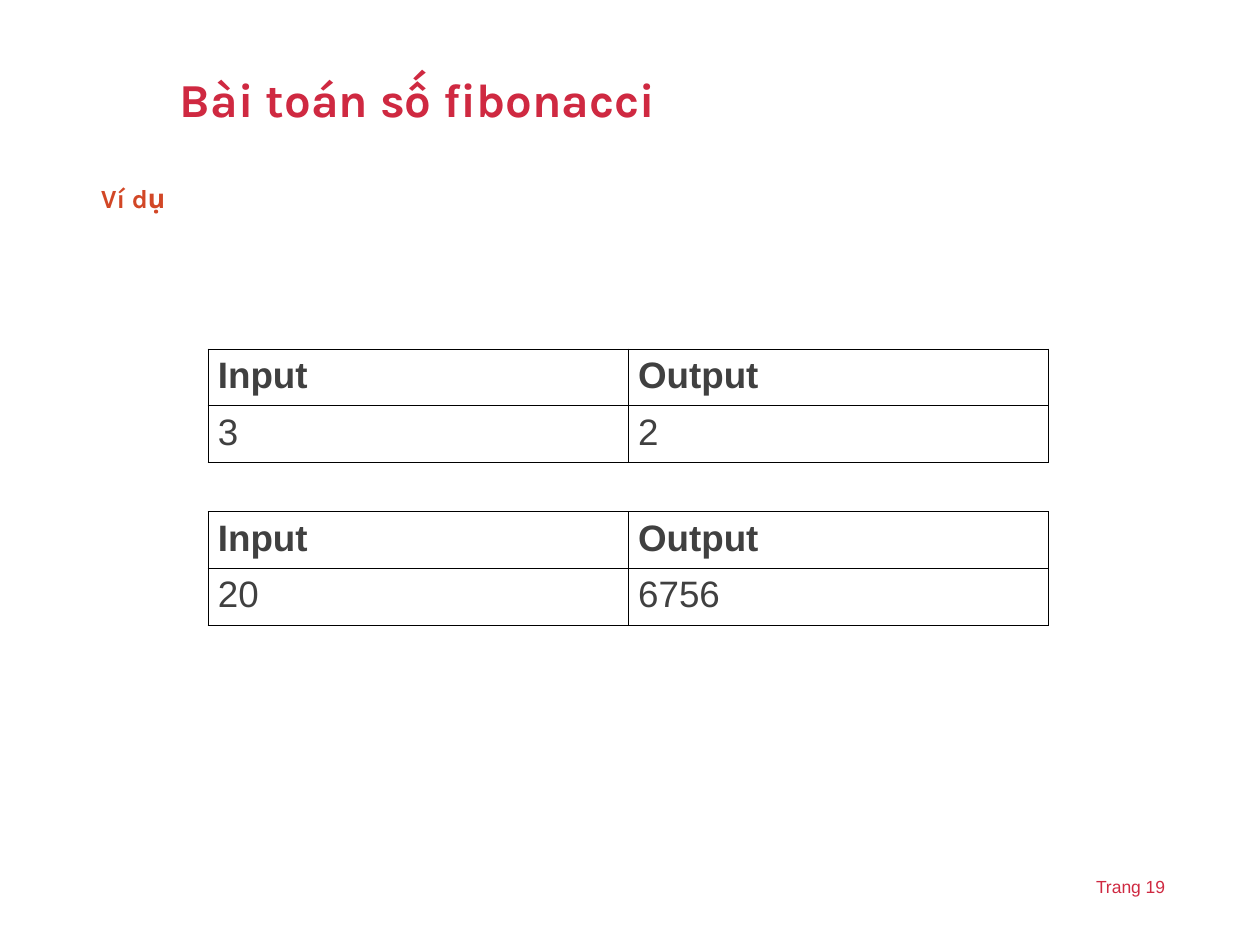
from dataclasses import dataclass

import pptx
import pptx.dml.color
import pptx.enum.text
import pptx.oxml
import pptx.oxml.ns
import pptx.util
from pptx.util import Inches, Pt

RED = "CF2941"
ORANGE = "D24726"
GREY = "404040"
BLACK = "000000"


@dataclass
class Label:
    text: str
    left: float
    top: float
    width: float
    height: float
    font: str
    size: float
    color: str
    bold: bool = False
    inset_x: float = 0.1
    inset_y: float = 0.05
    anchor: pptx.enum.text.MSO_ANCHOR = pptx.enum.text.MSO_ANCHOR.TOP
    line_spacing: float = 1.0


@dataclass
class Example:
    top: float
    given: str
    result: str


def rgb(value: str) -> pptx.dml.color.RGBColor:
    return pptx.dml.color.RGBColor.from_string(value)


def set_font(p, name: str, size: float, color: str, bold: bool) -> None:
    p.font.name = name
    p.font.size = Pt(size)
    p.font.bold = bold
    p.font.color.rgb = rgb(color)


def add_label(s, label: Label) -> None:
    sp = s.shapes.add_textbox(Inches(label.left), Inches(label.top),
                              Inches(label.width), Inches(label.height))
    tf = sp.text_frame
    tf.word_wrap = True
    tf.vertical_anchor = label.anchor
    tf.margin_left = tf.margin_right = Inches(label.inset_x)
    tf.margin_top = tf.margin_bottom = Inches(label.inset_y)
    p = tf.paragraphs[0]
    p.text = label.text
    p.line_spacing = label.line_spacing
    set_font(p, label.font, label.size, label.color, label.bold)


def add_borders(cell, color: str, width: float) -> None:
    tc_pr = cell._tc.get_or_add_tcPr()
    for side in ("lnL", "lnR", "lnT", "lnB"):
        tc_pr.append(pptx.oxml.parse_xml(
            f'<a:{side} {pptx.oxml.ns.nsdecls("a")} w="{int(Pt(width))}">'
            f'<a:solidFill><a:srgbClr val="{color}"/></a:solidFill></a:{side}>'))


def add_example(s, example: Example) -> None:
    rows = [("Input", "Output"), (example.given, example.result)]
    table = s.shapes.add_table(2, 2, Inches(1.65), Inches(example.top),
                               Inches(6.67), Inches(0.85)).table
    table.first_row = table.horz_banding = False
    for i, row in enumerate(rows):
        for j, text in enumerate(row):
            cell = table.cell(i, j)
            cell.margin_left = cell.margin_right = Inches(0.08)
            cell.margin_top = cell.margin_bottom = Inches(0.05)
            add_borders(cell, BLACK, 0.45)
            cell.fill.background()
            p = cell.text_frame.paragraphs[0]
            p.text = text
            set_font(p, "Arial", 21, GREY, bold=i == 0)


LABELS = [
    Label("Trang 19", 8.6, 6.9, 1.21, 0.27, "Arial", 10, RED),
    Label("Bài toán số fibonacci", 1.33, 0.4, 7.98, 0.82, "Karla", 27, RED,
          bold=True, anchor=pptx.enum.text.MSO_ANCHOR.MIDDLE, line_spacing=0.9),
    Label("Ví dụ", 0.72, 1.41, 8.59, 5.13, "Karla", 15, ORANGE,
          bold=True, inset_x=0.08, inset_y=0.04),
]
EXAMPLES = [Example(2.77, "3", "2"), Example(4.06, "20", "6756")]


def main() -> None:
    prs = pptx.Presentation()
    prs.slide_width, prs.slide_height = Inches(10), Inches(7.5)
    s = prs.slides.add_slide(prs.slide_layouts[6])

    # Page number, title and heading
    for label in LABELS:
        add_label(s, label)

    # Input and output tables
    for example in EXAMPLES:
        add_example(s, example)

    prs.save("out.pptx")


if __name__ == "__main__":
    main()
